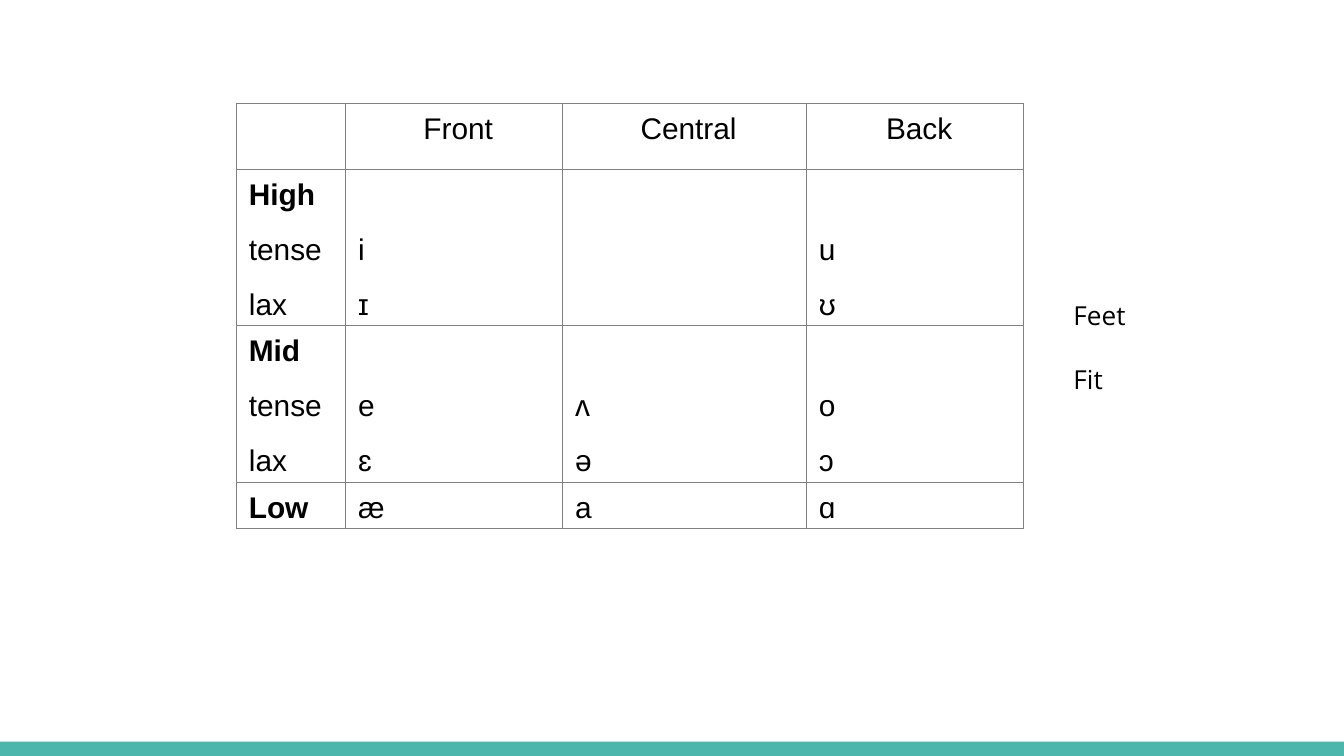
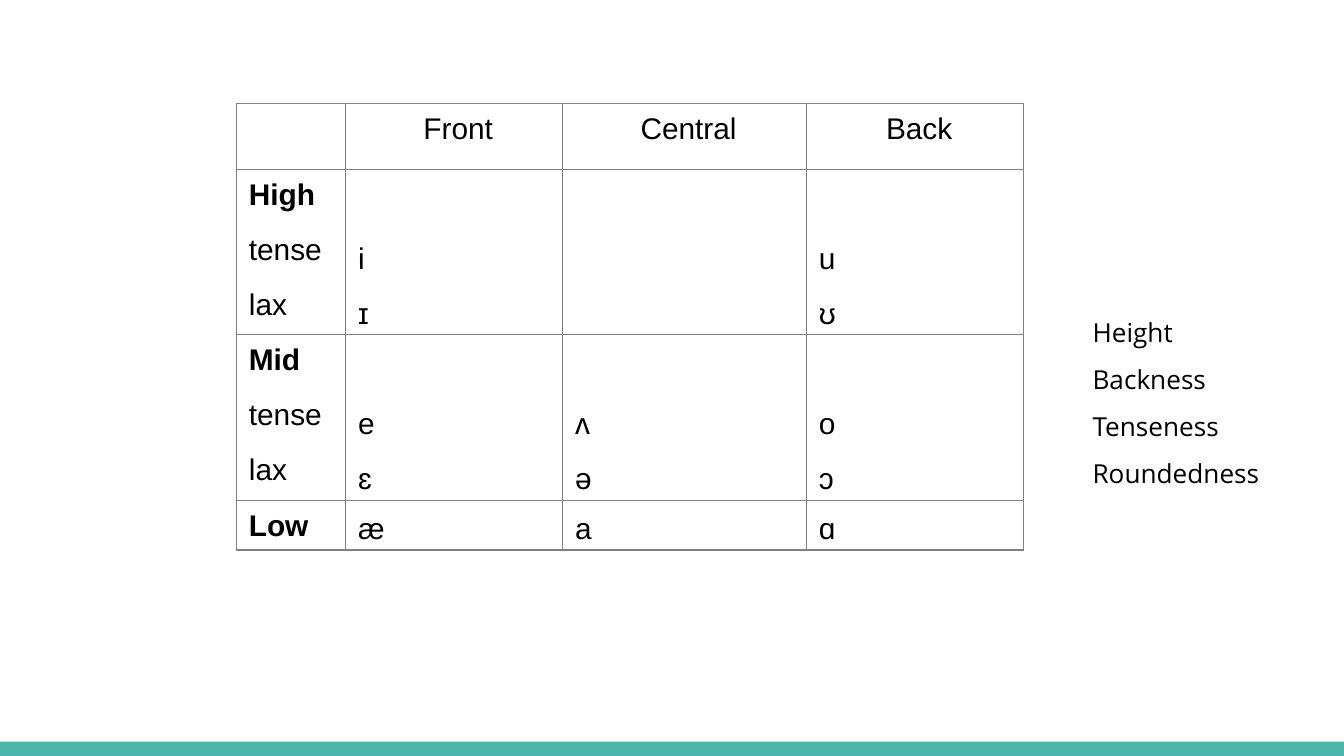
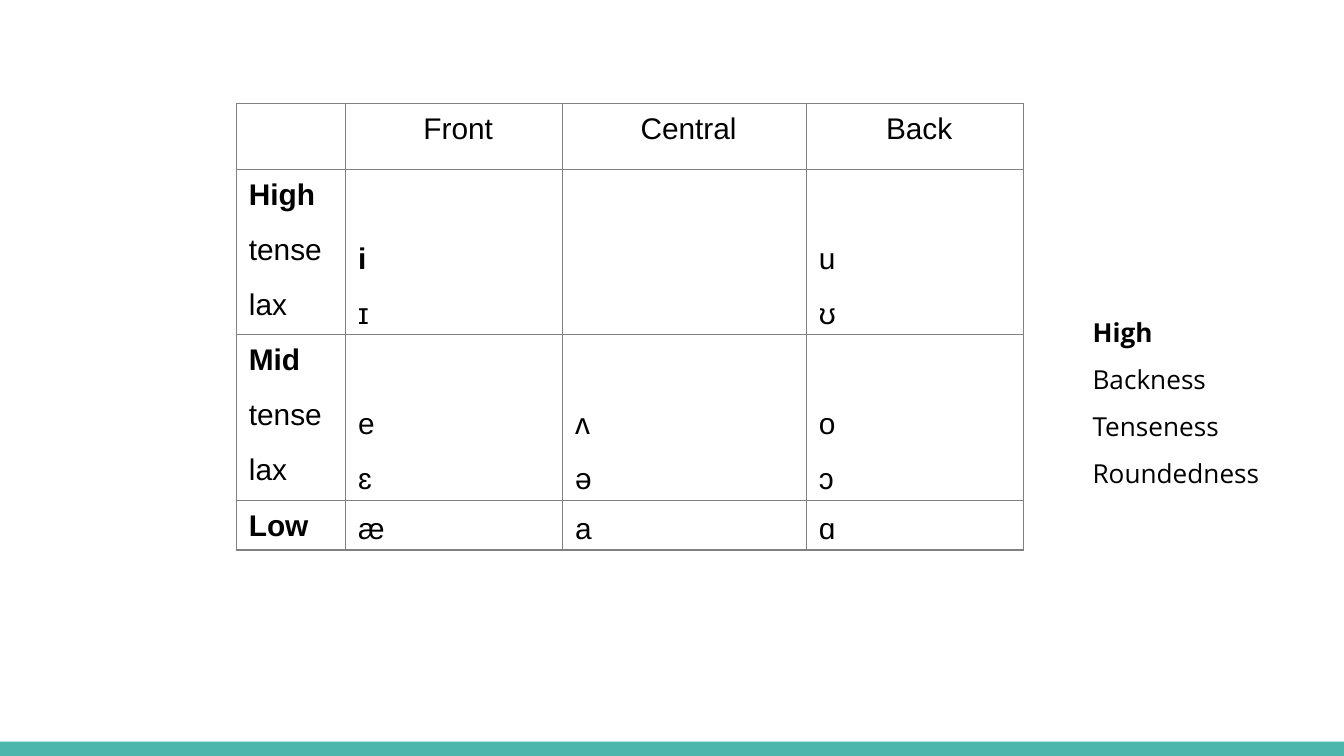
from dataclasses import dataclass

from lxml import etree
from pptx import Presentation
from pptx.dml.color import RGBColor
from pptx.enum.shapes import MSO_SHAPE
from pptx.enum.text import MSO_ANCHOR, PP_ALIGN
from pptx.oxml.ns import qn
from pptx.util import Pt

RECT = MSO_SHAPE.RECTANGLE
TOP, BOTTOM = MSO_ANCHOR.TOP, MSO_ANCHOR.BOTTOM
LEFT, CENTER = PP_ALIGN.LEFT, PP_ALIGN.CENTER

WIDTH, HEIGHT = 720, 405
BAND = 7.6
COLORS = {"band": "4DB6AC", "grid": "808080", "text": "000000"}

COLS = (58.5, 116.3, 130.6, 116.5)
ROWS = (35.3, 80, 80, 17.3)
VOWELS = (
    ("", "Front", "Central", "Back"),
    ("High\ntense\nlax", "i\nɪ", "", "u\nʊ"),
    ("Mid\ntense\nlax", "e\nɛ", "ʌ\nə", "o\nɔ"),
    ("Low", "æ", "a", "ɑ"),
)
LEVELS = frozenset({"High", "Mid", "Low"})


@dataclass(frozen=True)
class Note:
    left: float
    top: float
    width: float
    height: float
    text: str
    line: float = 1.0
    gap: float = 0


@dataclass(frozen=True)
class Page:
    note: Note
    strong: frozenset = LEVELS


def feature_note(first: str) -> Note:
    text = f"{first}\nBackness\nTenseness\nRoundedness"
    return Note(578.2, 154, 113.8, 44, text, line=1.5)


PAGES = (
    Page(Note(568, 153.4, 489.6, 57, "Feet\nFit", gap=17)),
    Page(feature_note("Height")),
    Page(feature_note("High"), LEVELS | {"i"}),
)


def write(frame, text: str, *, font: str, size: float, strong=frozenset(),
          align=LEFT, line: float = 1.0, gap: float = 0,
          indent: float = 0) -> None:
    """Fill a text frame, one paragraph a line; words in strong are bold."""
    for index, word in enumerate(text.split("\n")):
        para = frame.add_paragraph() if index else frame.paragraphs[0]
        para.alignment = align
        para.line_spacing = line
        para.space_before = Pt(gap if index else 0)
        if indent:
            props = para._p.get_or_add_pPr()
            props.set("marL", str(Pt(indent)))
            props.set("indent", "0")
        run = para.add_run()
        run.text = word
        run.font.name = font
        run.font.size = Pt(size)
        run.font.bold = word in strong
        run.font.color.rgb = RGBColor.from_string(COLORS["text"])


def add_band(slide) -> None:
    band = slide.shapes.add_shape(
        RECT, 0, Pt(HEIGHT - BAND), Pt(WIDTH), Pt(BAND))
    band.shadow.inherit = False
    band.fill.solid()
    band.fill.fore_color.rgb = RGBColor.from_string(COLORS["band"])
    band.line.fill.background()


def add_grid(cell) -> None:
    props = cell._tc.get_or_add_tcPr()
    for side in ("lnL", "lnR", "lnT", "lnB"):
        edge = etree.SubElement(props, qn(f"a:{side}"), w=str(Pt(0.75)))
        fill = etree.SubElement(edge, qn("a:solidFill"))
        etree.SubElement(fill, qn("a:srgbClr"), val=COLORS["grid"])


def add_vowels(slide, strong: frozenset) -> None:
    frame = slide.shapes.add_table(
        len(ROWS), len(COLS), Pt(126.6), Pt(55.4), Pt(sum(COLS)), Pt(232))
    table = frame.table
    table.first_row = table.horz_banding = False
    for col, width in zip(table.columns, COLS):
        col.width = Pt(width)
    for row, height in zip(table.rows, ROWS):
        row.height = Pt(height)
    for r, texts in enumerate(VOWELS):
        for c, text in enumerate(texts):
            cell = table.cell(r, c)
            add_grid(cell)
            cell.fill.background()
            cell.margin_left = cell.margin_right = Pt(2.25)
            cell.margin_top = cell.margin_bottom = Pt(2.25)
            # Sounds line up with the tense and lax labels
            cell.vertical_anchor = BOTTOM if r and c else TOP
            if text:
                write(cell.text_frame, text, font="Arial", size=16,
                      strong=strong, align=LEFT if r else CENTER,
                      line=1.15, gap=9, indent=4.5)


def add_note(slide, note: Note, strong: frozenset) -> None:
    box = slide.shapes.add_textbox(
        Pt(note.left), Pt(note.top), Pt(note.width), Pt(note.height))
    frame = box.text_frame
    frame.word_wrap = True
    frame.vertical_anchor = TOP
    frame.margin_left = frame.margin_right = Pt(7.2)
    frame.margin_top = frame.margin_bottom = Pt(7.2)
    write(frame, note.text, font="Open Sans", size=14, strong=strong,
          line=note.line, gap=note.gap)


def main() -> None:
    deck = Presentation()
    deck.slide_width, deck.slide_height = Pt(WIDTH), Pt(HEIGHT)
    blank = deck.slide_layouts[6]
    for page in PAGES:
        slide = deck.slides.add_slide(blank)
        add_band(slide)
        add_vowels(slide, page.strong)
        add_note(slide, page.note, page.strong)
    deck.save("out.pptx")


if __name__ == "__main__":
    main()
